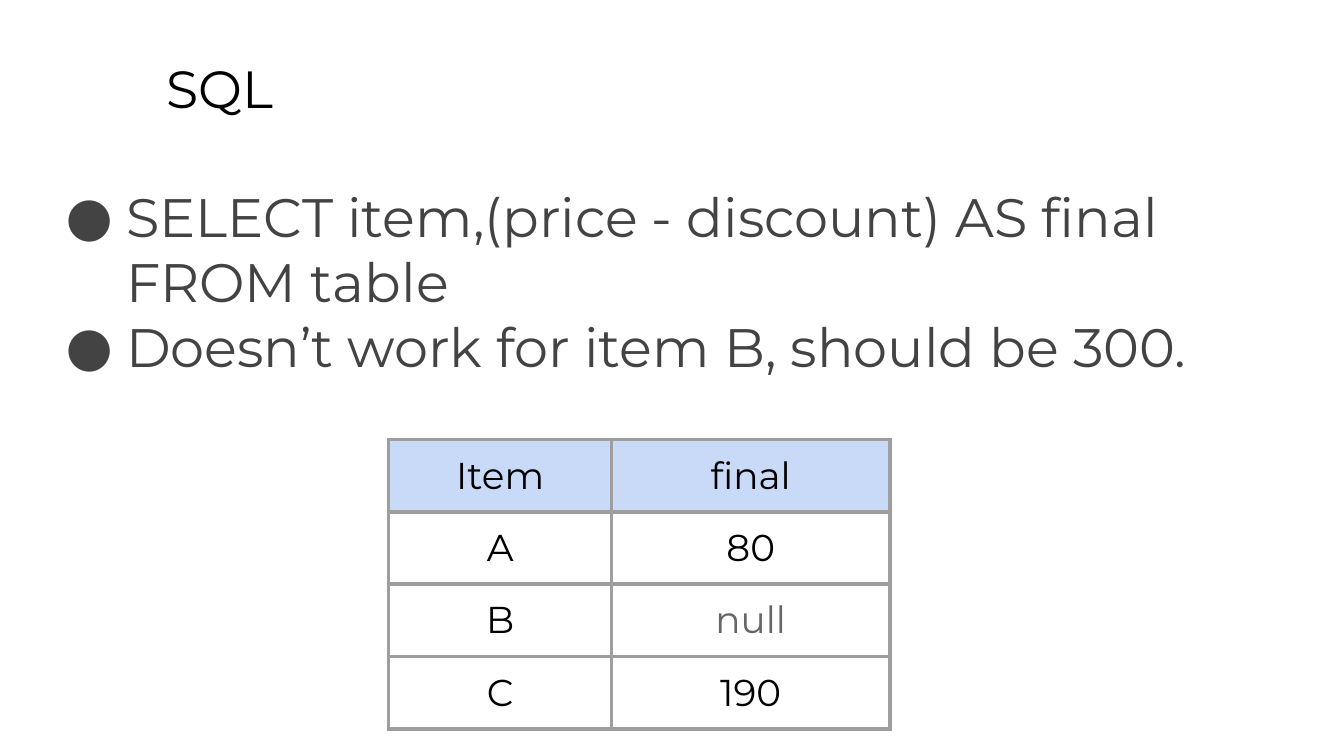
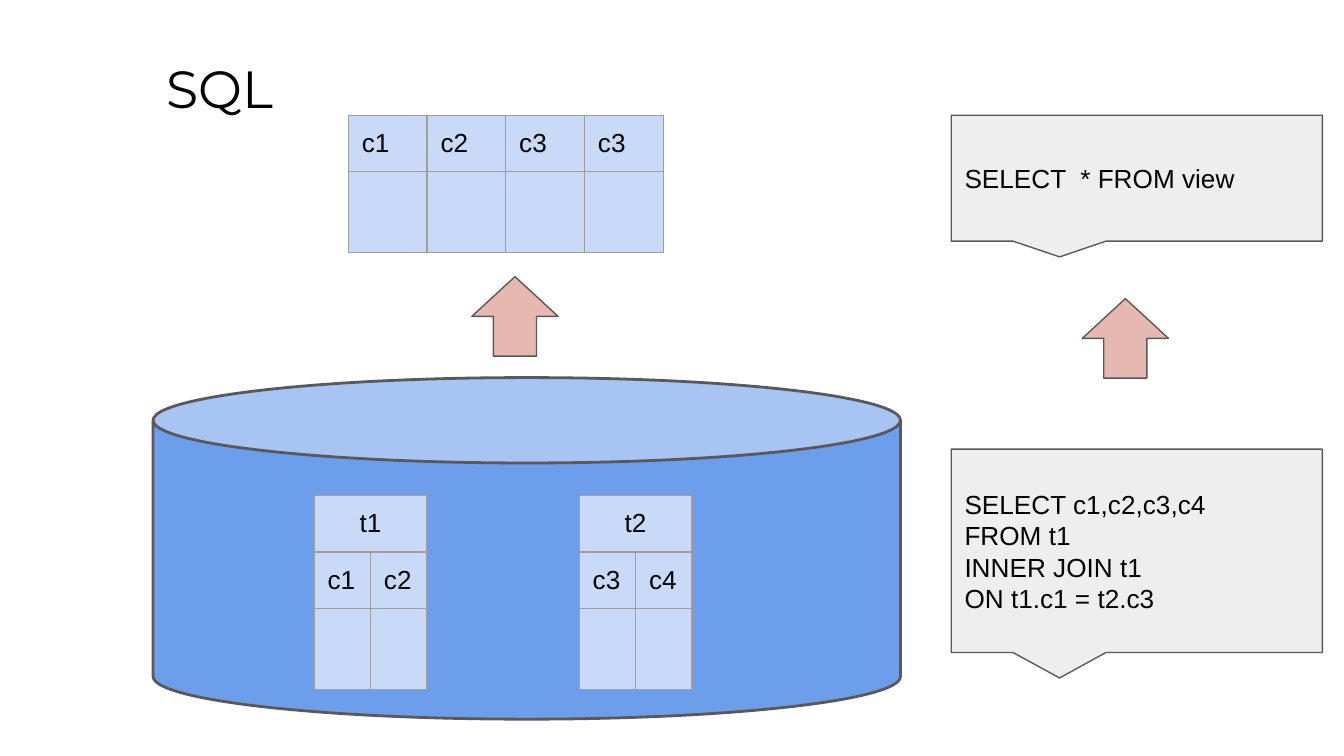
import pptx
import pptx.util
import pptx.dml.color
import pptx.enum.shapes
import pptx.enum.text
import pptx.oxml

Pt = pptx.util.Pt
SHAPE = pptx.enum.shapes.MSO_SHAPE
ALIGN = pptx.enum.text.PP_ALIGN
ANCHOR = pptx.enum.text.MSO_ANCHOR
NS = 'xmlns:a="http://schemas.openxmlformats.org/drawingml/2006/main"'

# Shared look
HEADING_FONT, DIAGRAM_FONT = "Montserrat", "Arial"
BLACK, BODY_GREY, NULL_GREY = "000000", "434343", "666666"
PALE_BLUE, BLUE, PINK, PALE_GREY = "C9DAF8", "6D9EEB", "E6B8AF", "EEEEEE"
OUTLINE, GRID_GREY = "595959", "9E9E9E"
INSET = 7.2


def style(paragraph, font, size, colour, align=ALIGN.LEFT):
    paragraph.alignment = align
    paragraph.font.name = font
    paragraph.font.size = Pt(size)
    paragraph.font.color.rgb = pptx.dml.color.RGBColor.from_string(colour)


def add_grid(slide, left, top, widths, heights, rows, font, size, border, filled_rows, centred_rows):
    table = slide.shapes.add_table(len(heights), len(widths), Pt(left), Pt(top),
                                   Pt(sum(widths)), Pt(sum(heights))).table
    table.first_row = table.horz_banding = False
    for column, width in zip(table.columns, widths):
        column.width = Pt(width)
    for r, height in enumerate(heights):
        table.rows[r].height = Pt(height)
        for c in range(len(widths)):
            cell = table.cell(r, c)
            cell.margin_left = cell.margin_right = Pt(INSET)
            cell.margin_top = cell.margin_bottom = Pt(INSET)
            properties = cell._tc.get_or_add_tcPr()
            for side in "LRTB":
                properties.append(pptx.oxml.parse_xml(
                    f'<a:ln{side} {NS} w="{Pt(border)}"><a:solidFill>'
                    f'<a:srgbClr val="{GRID_GREY}"/></a:solidFill></a:ln{side}>'))
            if r in filled_rows:
                cell.fill.solid()
                cell.fill.fore_color.rgb = pptx.dml.color.RGBColor.from_string(PALE_BLUE)
            else:
                cell.fill.background()
            if r < len(rows) and c < len(rows[r]):
                cell.text = rows[r][c]
                style(cell.text_frame.paragraphs[0], font, size,
                      NULL_GREY if cell.text == "null" else BLACK,
                      ALIGN.CENTER if r in centred_rows else ALIGN.LEFT)
    return table


deck = pptx.Presentation()
deck.slide_width, deck.slide_height = Pt(720), Pt(405)

# Both slides carry the same title
slides = []
for heading in ("SQL", "SQL"):
    slide = deck.slides.add_slide(deck.slide_layouts[5])
    title = slide.shapes.title
    title.left, title.top, title.width, title.height = Pt(82), Pt(23), Pt(613.4), Pt(45.4)
    title.text_frame.text = heading
    title.text_frame.auto_size = pptx.enum.text.MSO_AUTO_SIZE.NONE
    title.text_frame.vertical_anchor = ANCHOR.TOP
    title.text_frame.margin_left = title.text_frame.margin_right = Pt(INSET)
    title.text_frame.margin_top = title.text_frame.margin_bottom = Pt(INSET)
    style(title.text_frame.paragraphs[0], HEADING_FONT, 28, BLACK)
    slides.append(slide)
null_slide, view_slide = slides

# Slide 1: query and its flaw
query = null_slide.shapes.add_textbox(Pt(24.5), Pt(91), Pt(684), Pt(269)).text_frame
query.word_wrap = True
query.margin_left = query.margin_right = query.margin_top = query.margin_bottom = Pt(INSET)
query.text = ("SELECT item,(price - discount) AS final\nFROM table\n"
              "Doesn’t work for item B, should be 300.")
for paragraph, bulleted in zip(query.paragraphs, (True, False, True)):
    style(paragraph, HEADING_FONT, 29, BODY_GREY)
    properties = paragraph._p.get_or_add_pPr()
    properties.set("marL", str(Pt(36)))
    properties.set("indent", str(Pt(-32.4) if bulleted else 0))
    bullet = ([f'<a:buClr {NS}><a:srgbClr val="{BODY_GREY}"/></a:buClr>',
               f'<a:buFont {NS} typeface="{HEADING_FONT}"/>',
               f'<a:buChar {NS} char="●"/>'] if bulleted else [f'<a:buNone {NS}/>'])
    for position, element in enumerate(bullet):
        properties.insert(position, pptx.oxml.parse_xml(element))

# Slide 1: query result
add_grid(null_slide, 208.2, 235.4, [119.5, 149], [38.8] * 4,
         [("Item", "final"), ("A", "80"), ("B", "null"), ("C", "190")],
         HEADING_FONT, 20, 2.25, filled_rows=[0], centred_rows=range(4))

# Slide 2: database, arrows and statements
join_query = "SELECT c1,c2,c3,c4\nFROM t1\nINNER JOIN t1\nON t1.c1 = t2.c3"
callout_tail = (-0.208, 0.625)
for kind, left, top, width, height, adjustments, fill, line, text in (
    (SHAPE.CAN, 82, 202.3, 400.4, 183, (0.25,), BLUE, 1.5, ""),
    (SHAPE.UP_ARROW, 252.8, 148.2, 46.2, 42.6, (0.5, 0.5), PINK, 0.75, ""),
    (SHAPE.UP_ARROW, 579.8, 160, 46.2, 42.6, (0.5, 0.5), PINK, 0.75, ""),
    (SHAPE.RECTANGULAR_CALLOUT, 509.6, 61.7, 198.8, 67.5, callout_tail, PALE_GREY, 0.75,
     "SELECT  * FROM view"),
    (SHAPE.RECTANGULAR_CALLOUT, 509.6, 240.6, 198.8, 109, callout_tail, PALE_GREY, 0.75,
     join_query),
):
    part = view_slide.shapes.add_shape(kind, Pt(left), Pt(top), Pt(width), Pt(height))
    part.shadow.inherit = False
    for index, value in enumerate(adjustments):
        part.adjustments[index] = value
    part.fill.solid()
    part.fill.fore_color.rgb = pptx.dml.color.RGBColor.from_string(fill)
    part.line.color.rgb = pptx.dml.color.RGBColor.from_string(OUTLINE)
    part.line.width = Pt(line)
    if text:
        frame = part.text_frame
        frame.word_wrap = True
        frame.vertical_anchor = ANCHOR.MIDDLE
        frame.margin_left = frame.margin_right = frame.margin_top = frame.margin_bottom = Pt(INSET)
        frame.text = text
        for paragraph in frame.paragraphs:
            style(paragraph, DIAGRAM_FONT, 14, BLACK)

# Slide 2: stored tables inside the database
for left, name, columns in ((168.3, "t1", ("c1", "c2")), (310.3, "t2", ("c3", "c4"))):
    stored = add_grid(view_slide, left, 265.6, [30.2] * 2, [30, 30, 43.6], [(name,), columns],
                      DIAGRAM_FONT, 14, 0.75, filled_rows=range(3), centred_rows=[0])
    stored.cell(0, 0).merge(stored.cell(0, 1))

# Slide 2: the view built from them
add_grid(view_slide, 186.6, 61.7, [42.2] * 4, [30, 43.6], [("c1", "c2", "c3", "c3")],
         DIAGRAM_FONT, 14, 0.75, filled_rows=range(2), centred_rows=[])

deck.save("out.pptx")
